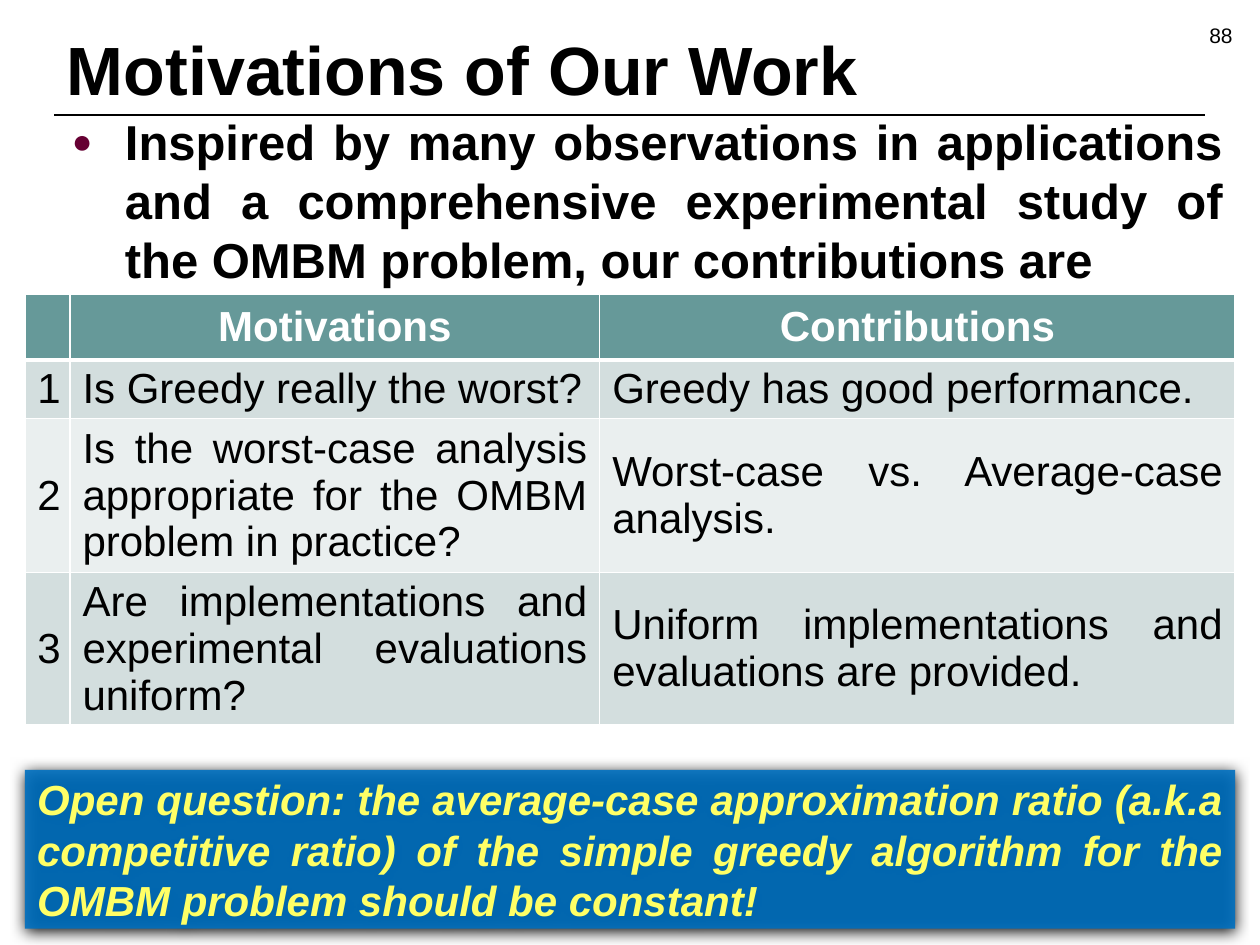
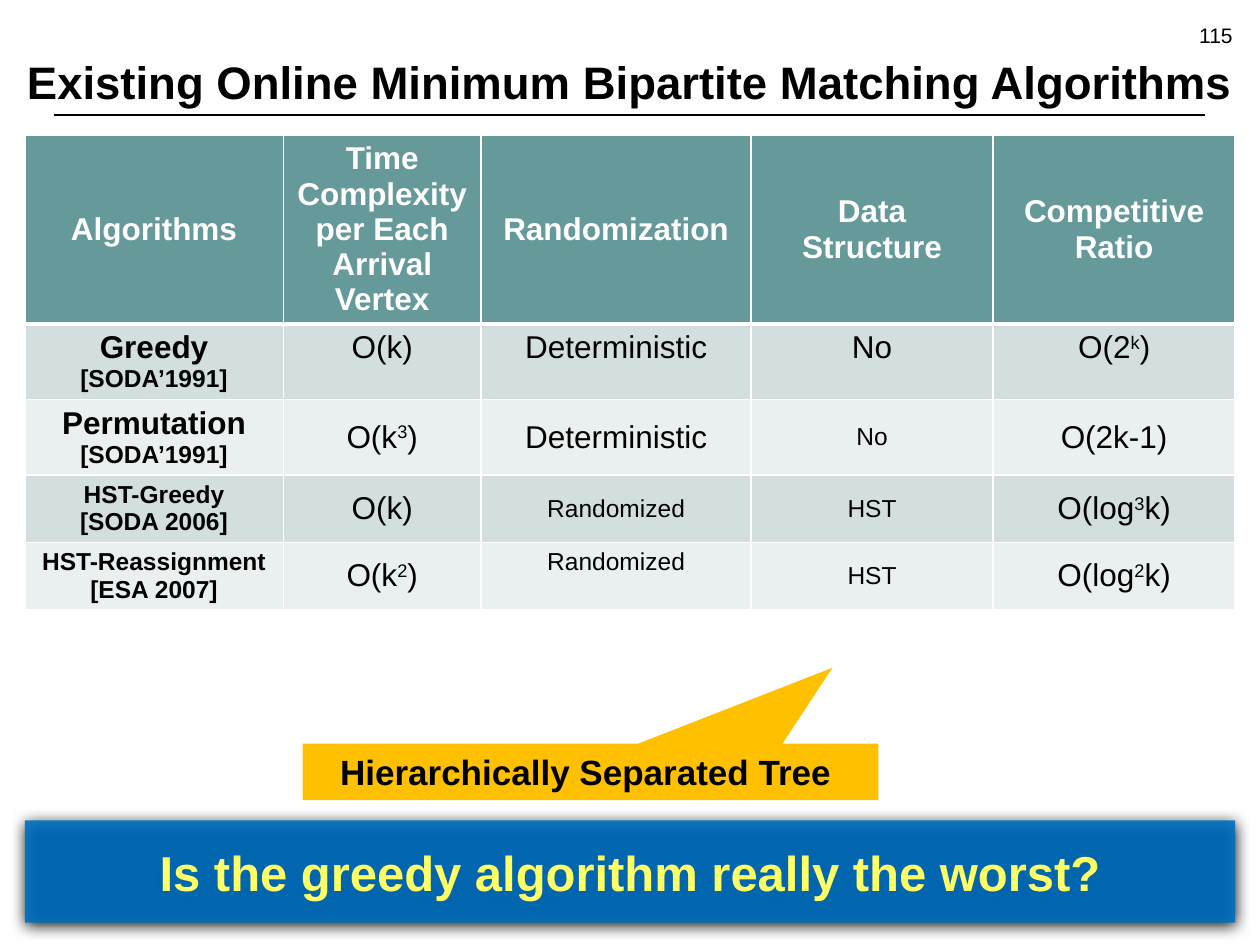
from dataclasses import dataclass

from lxml.etree import SubElement
from pptx import Presentation
from pptx.dml.color import RGBColor
from pptx.enum.shapes import MSO_CONNECTOR, MSO_SHAPE
from pptx.enum.text import MSO_ANCHOR, PP_ALIGN
from pptx.oxml import parse_xml
from pptx.oxml.ns import nsdecls, qn
from pptx.util import Cm, Pt

COLORS = {
    "ink": "000000",
    "white": "FFFFFF",
    "header": "669999",
    "band_dark": "D3DEDE",
    "band_light": "EAEFEF",
    "banner": "0070C0",
    "banner_text": "FFFF66",
    "callout": "FFC000",
    "bullet": "660033",
}
FONT = "Arial"
MARGIN = 0.5
BANNER_WIDTH = 24.4


@dataclass
class Cell:
    lines: list
    align: PP_ALIGN = PP_ALIGN.CENTER
    bold: bool = False
    anchor: MSO_ANCHOR = MSO_ANCHOR.MIDDLE


def rgb(name):
    return RGBColor.from_string(COLORS[name])


def box(*lengths):
    return [Cm(length) for length in lengths]


def add_runs(paragraph, text, size, color="ink", bold=False, italic=False):
    for index, piece in enumerate(text.split("^")):
        run = paragraph.add_run()
        run.text = piece
        run.font.name = FONT
        run.font.size = Pt(size)
        run.font.bold = bold
        run.font.italic = italic
        run.font.color.rgb = rgb(color)
        if index % 2:
            run._r.get_or_add_rPr().set("baseline", "30000")


def add_text(slide, area, text, size, align=PP_ALIGN.LEFT, bold=False,
             anchor=MSO_ANCHOR.TOP):
    frame = slide.shapes.add_textbox(*box(*area)).text_frame
    frame.word_wrap = True
    frame.vertical_anchor = anchor
    paragraph = frame.paragraphs[0]
    paragraph.alignment = align
    add_runs(paragraph, text, size, bold=bold)
    return paragraph


def add_bullet(slide, area, text, size):
    paragraph = add_text(slide, area, text, size, PP_ALIGN.JUSTIFY, True)
    properties = paragraph._p.get_or_add_pPr()
    properties.set("marL", str(Cm(1.07)))
    properties.set("indent", str(-Cm(1.07)))
    bullet_color = SubElement(properties, qn("a:buClr"))
    SubElement(bullet_color, qn("a:srgbClr"), val=COLORS["bullet"])
    SubElement(properties, qn("a:buSzPct"), val="70000")
    SubElement(properties, qn("a:buFont"), typeface=FONT)
    SubElement(properties, qn("a:buChar"), char="●")


def add_frame(deck, title, title_area, title_size, title_align, number):
    slide = deck.slides.add_slide(deck.slide_layouts[6])
    rule = slide.shapes.add_connector(
        MSO_CONNECTOR.STRAIGHT, *box(1.09, 2.32, 24.3, 2.32))
    rule.line.color.rgb = rgb("ink")
    rule.line.width = Pt(0.75)
    SubElement(rule._element.spPr, qn("a:effectLst"))
    add_text(slide, title_area, title, title_size, title_align, True,
             MSO_ANCHOR.BOTTOM)
    add_text(slide, (19.18, 0.33, 5.92, 0.71), number, 12, PP_ALIGN.RIGHT)
    return slide


def add_filled_shape(slide, preset, area, fill, text, size, align,
                     color="ink", italic=False):
    shape = slide.shapes.add_shape(preset, *box(*area))
    shape.shadow.inherit = False
    shape.fill.solid()
    shape.fill.fore_color.rgb = rgb(fill)
    shape.line.fill.background()
    frame = shape.text_frame
    frame.word_wrap = True
    frame.vertical_anchor = MSO_ANCHOR.MIDDLE
    frame.paragraphs[0].alignment = align
    add_runs(frame.paragraphs[0], text, size, color, True, italic)
    return shape


def add_banner(slide, top, height, text, size, align, italic=False):
    banner = add_filled_shape(
        slide, MSO_SHAPE.RECTANGLE, (MARGIN, top, BANNER_WIDTH, height),
        "banner", text, size, align, "banner_text", italic)
    properties = banner._element.spPr
    fill_color = properties.find(qn("a:solidFill")).find(qn("a:srgbClr"))
    SubElement(fill_color, qn("a:alpha"), val="90000")
    effects = properties.find(qn("a:effectLst"))
    glow = SubElement(effects, qn("a:outerShdw"), blurRad=str(Pt(8.5)),
                      dist=str(Pt(1)), dir="5400000", algn="t", rotWithShape="0")
    SubElement(glow, qn("a:srgbClr"), val=COLORS["ink"])


def set_borders(cell, row):
    widths = {"L": 1, "R": 1, "T": 3 if row == 1 else 1, "B": 1 if row else 3}
    properties = cell._tc.get_or_add_tcPr()
    for side, width in widths.items():
        properties.append(parse_xml(
            f'<a:ln{side} {nsdecls("a")} w="{Pt(width)}"><a:solidFill>'
            f'<a:srgbClr val="{COLORS["white"]}"/></a:solidFill></a:ln{side}>'))


def fill_cell(cell, content, row):
    set_borders(cell, row)
    cell.fill.solid()
    band = "band_dark" if row % 2 else "band_light"
    cell.fill.fore_color.rgb = rgb(band if row else "header")
    cell.vertical_anchor = content.anchor
    cell.margin_top = Cm(0.12 if content.anchor == MSO_ANCHOR.TOP else 0)
    cell.margin_bottom = Cm(0)
    for index, (text, size) in enumerate(content.lines):
        frame = cell.text_frame
        paragraph = frame.add_paragraph() if index else frame.paragraphs[0]
        paragraph.alignment = content.align
        if text:
            add_runs(paragraph, text, size, "ink" if row else "white",
                     content.bold)


def add_grid(slide, top, widths, heights, rows):
    grid = slide.shapes.add_table(
        len(rows), len(widths),
        *box(MARGIN, top, sum(widths), sum(heights))).table
    grid.first_row = False
    grid.horz_banding = False
    for column, width in zip(grid.columns, widths):
        column.width = Cm(width)
    for line, height in zip(grid.rows, heights):
        line.height = Cm(height)
    for row, contents in enumerate(rows):
        for column, content in enumerate(contents):
            fill_cell(grid.cell(row, column), content, row)


def header_row(labels, size):
    return [Cell([(label, size)], bold=True) for label in labels]


def motivation_row(number, motivation, contribution):
    return [Cell([(number, 24)])] + [
        Cell([(text, 24)], PP_ALIGN.JUSTIFY)
        for text in (motivation, contribution)]


def algorithm_row(name, name_size, venue, *facts, anchor=MSO_ANCHOR.MIDDLE):
    return [Cell([(name, name_size), (venue, 14)], bold=True, anchor=anchor)] + [
        Cell([fact], anchor=anchor) for fact in facts]


def build_motivations(deck):
    slide = add_frame(deck, "Motivations of Our Work",
                      (1.1, 0.35, 23.04, 1.98), 39, PP_ALIGN.LEFT, "88")
    add_bullet(slide, (1.2, 2.13, 23.7, 3.86),
               "Inspired by many observations in applications and a "
               "comprehensive experimental study of the OMBM problem, "
               "our contributions are", 28)
    add_grid(slide, 5.94, [0.91, 10.68, 12.81], [1.32, 1.18, 3.1, 3.07], [
        header_row(["", "Motivations", "Contributions"], 24),
        motivation_row("1", "Is Greedy really the worst?",
                       "Greedy has good performance."),
        motivation_row("2", "Is the worst-case analysis appropriate for the "
                       "OMBM problem in practice?",
                       "Worst-case vs. Average-case analysis."),
        motivation_row("3", "Are implementations and experimental "
                       "evaluations uniform?",
                       "Uniform implementations and evaluations are provided. "),
    ])
    add_banner(slide, 15.52, 3.2,
               "Open question: the average-case approximation ratio (a.k.a "
               "competitive ratio) of the simple greedy algorithm for the "
               "OMBM problem should be constant!",
               24, PP_ALIGN.JUSTIFY, italic=True)


def build_algorithms(deck):
    slide = add_frame(deck,
                      "Existing Online Minimum Bipartite Matching Algorithms",
                      (0, 0.28, 25.4, 2.04), 26, PP_ALIGN.CENTER, "115")
    reassignment = algorithm_row(
        "HST-Reassignment", 14, "[ESA 2007]", ("O(k^2^)", 18),
        ("Randomized", 14), ("HST", 14), ("O(log^2^k)", 18))
    reassignment[2].anchor = MSO_ANCHOR.TOP
    add_grid(slide, 2.72, [5.21, 3.99, 5.44, 4.88, 4.88],
             [3.78, 1.52, 1.52, 1.36, 1.36], [
        header_row(["Algorithms", "Time Complexity per Each Arrival Vertex",
                    "Randomization", "Data Structure", "Competitive Ratio"], 18),
        algorithm_row("Greedy", 18, "[SODA’1991]", ("O(k)", 18),
                      ("Deterministic", 18), ("No", 18), ("O(2^k^)", 18),
                      anchor=MSO_ANCHOR.TOP),
        algorithm_row("Permutation", 18, "[SODA’1991]", ("O(k^3^)", 18),
                      ("Deterministic", 18), ("No", 14), ("O(2k-1)", 18)),
        algorithm_row("HST-Greedy", 14, "[SODA 2006]", ("O(k)", 18),
                      ("Randomized", 14), ("HST", 14), ("O(log^3^k)", 18)),
        reassignment,
    ])
    add_banner(slide, 16.54, 2.06, "Is the greedy algorithm really the worst?",
               28, PP_ALIGN.CENTER)
    tree_note = add_filled_shape(
        slide, MSO_SHAPE.RECTANGULAR_CALLOUT, (6.1, 14.99, 11.61, 1.14),
        "callout", "Hierarchically Separated Tree ", 20, PP_ALIGN.CENTER)
    tree_note.adjustments[0] = 0.42
    tree_note.adjustments[1] = -1.84


def main():
    deck = Presentation()
    deck.slide_width = Cm(25.4)
    deck.slide_height = Cm(19.05)
    build_motivations(deck)
    build_algorithms(deck)
    deck.save("out.pptx")


if __name__ == "__main__":
    main()
